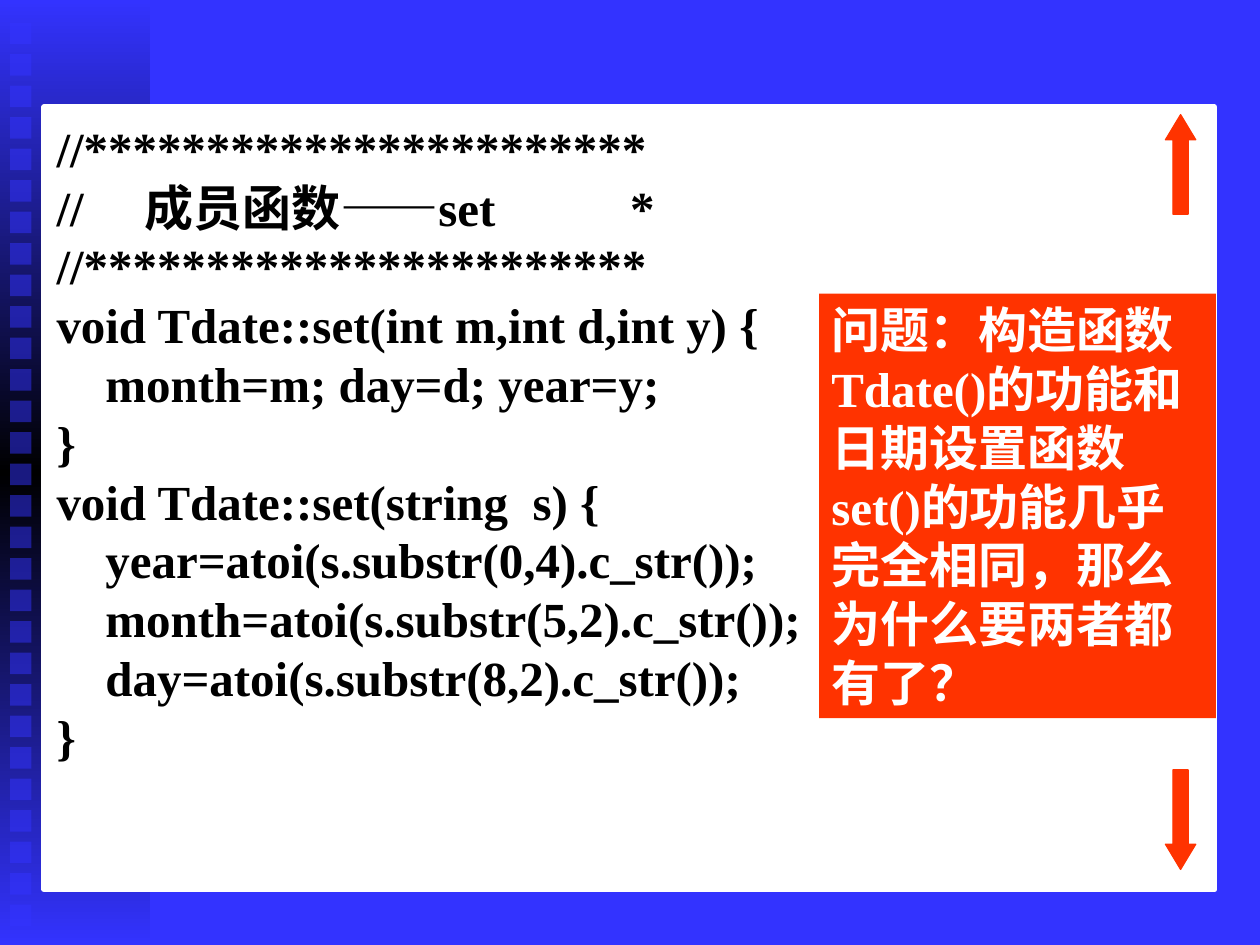
"""Build a slide showing two overloaded C++ set functions beside a question panel."""
import copy
from dataclasses import dataclass

import lxml.etree
import pptx
import pptx.dml.color
import pptx.enum.shapes
import pptx.enum.text
import pptx.oxml.ns
import pptx.util

Inches = pptx.util.Inches
Pt = pptx.util.Pt
Kind = pptx.enum.shapes.MSO_SHAPE


@dataclass(frozen=True)
class Theme:
    blue: str = "3333FF"
    black: str = "000000"
    white: str = "FFFFFF"
    red: str = "FF3300"
    font: str = "Times New Roman"
    size: float = 28
    leading: float = 33.6


@dataclass(frozen=True)
class Block:
    left: float
    top: float
    width: float
    height: float
    fill: str
    kind: Kind = Kind.RECTANGLE
    line_width: float = 0
    alpha: int = 100
    adjustments: tuple[float, ...] = ()


THEME = Theme()

CODE = """//***********************
//     成员函数——set           *
//***********************
void Tdate::set(int m,int d,int y) {
    month=m; day=d; year=y;
}
void Tdate::set(string  s) {
    year=atoi(s.substr(0,4).c_str());
    month=atoi(s.substr(5,2).c_str());
    day=atoi(s.substr(8,2).c_str());
}"""
QUESTION = "问题：构造函数Tdate()的功能和日期设置函数set()的功能几乎完全相同，那么为什么要两者都有了？"

BAND = Block(0, 0, 1.19, 7.5, THEME.blue)
SQUARES = [Block(0.08, 0.18 + 0.25 * row, 0.17, 0.17, THEME.blue, alpha=50) for row in range(29)]
CODE_PANEL = Block(0.35, 0.85, 9.29, 6.21, THEME.white, line_width=3)
ARROWS = [
    Block(9.25, top, 0.24, 0.79, THEME.red, kind, 0.75, adjustments=(0.5, 0.83))
    for kind, top in ((Kind.DOWN_ARROW, 6.11), (Kind.UP_ARROW, 0.91))
]
QUESTION_PANEL = Block(6.5, 2.33, 3.15, 3.37, THEME.red)


def rgb(value: str) -> pptx.dml.color.RGBColor:
    return pptx.dml.color.RGBColor.from_string(value)


def draw_block(slide, block: Block):
    shape = slide.shapes.add_shape(
        block.kind, Inches(block.left), Inches(block.top), Inches(block.width), Inches(block.height)
    )
    shape.shadow.inherit = False
    for index, value in enumerate(block.adjustments):
        shape.adjustments[index] = value
    shape.fill.solid()
    shape.fill.fore_color.rgb = rgb(block.fill)
    if block.alpha < 100:
        color = shape.fill._xPr.find(".//" + pptx.oxml.ns.qn("a:srgbClr"))
        lxml.etree.SubElement(color, pptx.oxml.ns.qn("a:alpha"), val=str(block.alpha * 1000))
    if block.line_width:
        shape.line.color.rgb = rgb(block.fill)
        shape.line.width = Pt(block.line_width)
    else:
        shape.line.fill.background()
    return shape


def shade_band(band, edge: str, middle: str) -> None:
    band.fill.gradient()
    band.fill.gradient_angle = 90
    first = band.fill.gradient_stops[0]._gs
    first.addnext(copy.deepcopy(first))
    for stop, position, color in zip(band.fill.gradient_stops, (0, 0.5, 1), (edge, middle, edge)):
        stop.position = position
        stop.color.rgb = rgb(color)


def write_text(shape, text: str, *, color: str, top_inset: float = 0.05) -> None:
    frame = shape.text_frame
    frame.word_wrap = True
    frame.vertical_anchor = pptx.enum.text.MSO_ANCHOR.TOP
    frame.margin_left = frame.margin_right = Inches(0.1)
    frame.margin_top = Inches(top_inset)
    frame.margin_bottom = Inches(0.05)
    frame.text = text
    for paragraph in frame.paragraphs:
        paragraph.alignment = pptx.enum.text.PP_ALIGN.LEFT
        paragraph.line_spacing = Pt(THEME.leading)
        for run in paragraph.runs:
            run.font.name = THEME.font
            run.font.size = Pt(THEME.size)
            run.font.bold = True
            run.font.color.rgb = rgb(color)


def main() -> None:
    deck = pptx.Presentation()
    deck.slide_width, deck.slide_height = Inches(10), Inches(7.5)
    slide = deck.slides.add_slide(deck.slide_layouts[6])
    slide.background.fill.solid()
    slide.background.fill.fore_color.rgb = rgb(THEME.blue)

    shade_band(draw_block(slide, BAND), THEME.blue, THEME.black)
    for square in SQUARES:
        draw_block(slide, square)
    write_text(draw_block(slide, CODE_PANEL), CODE, color=THEME.black, top_inset=0.09)
    for arrow in ARROWS:
        draw_block(slide, arrow)
    write_text(draw_block(slide, QUESTION_PANEL), QUESTION, color=THEME.white)
    deck.save("out.pptx")


if __name__ == "__main__":
    main()
